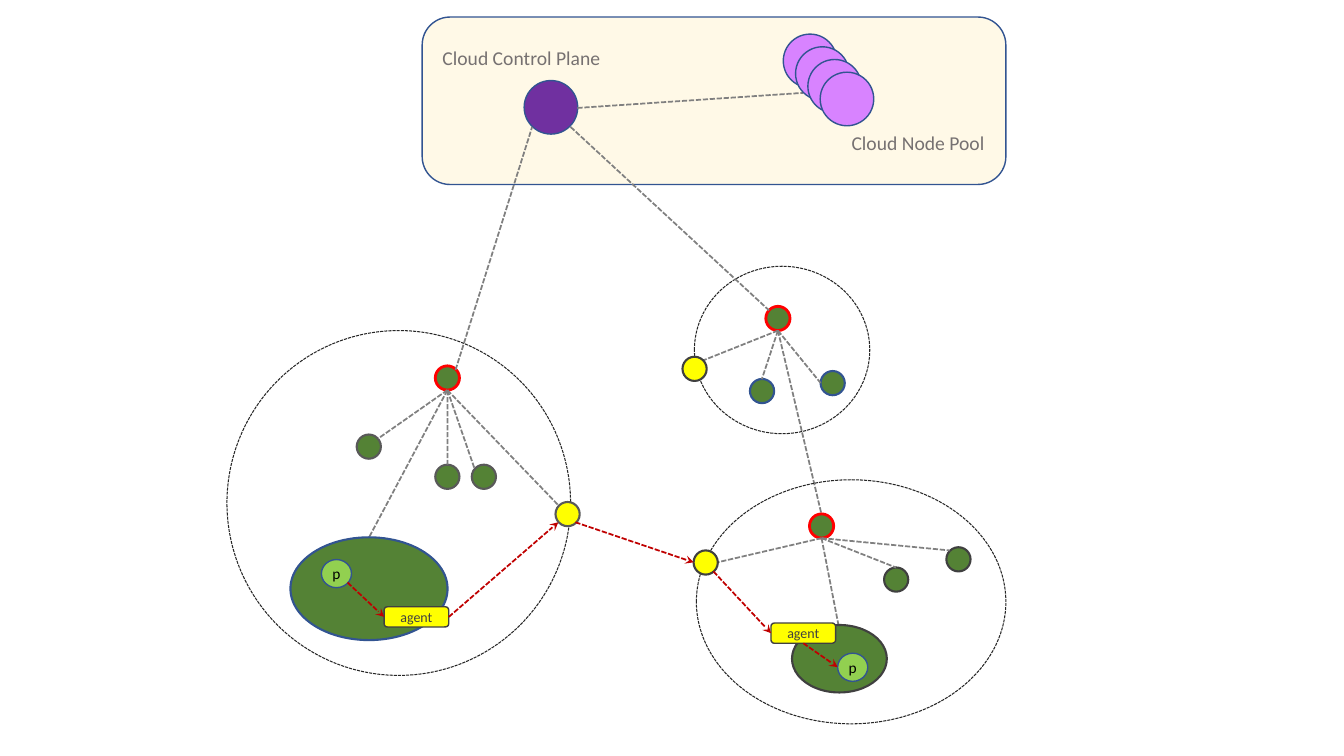
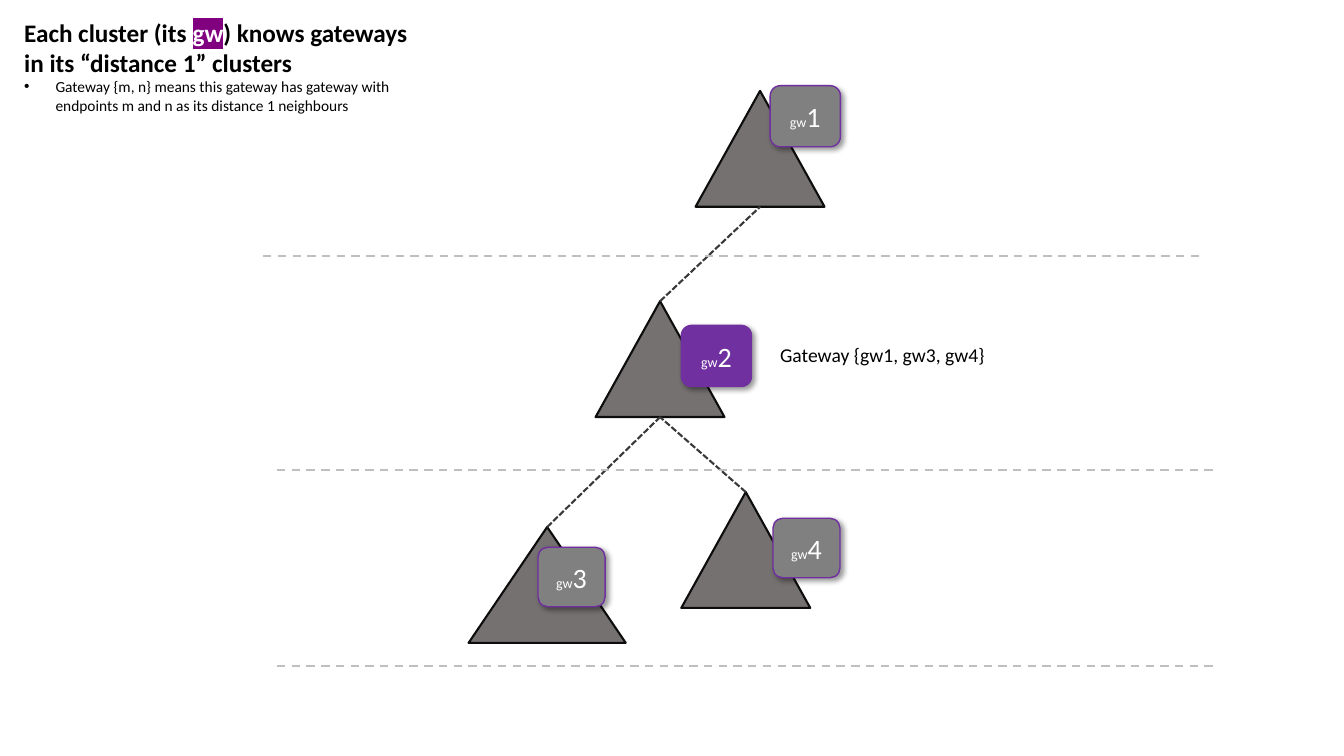
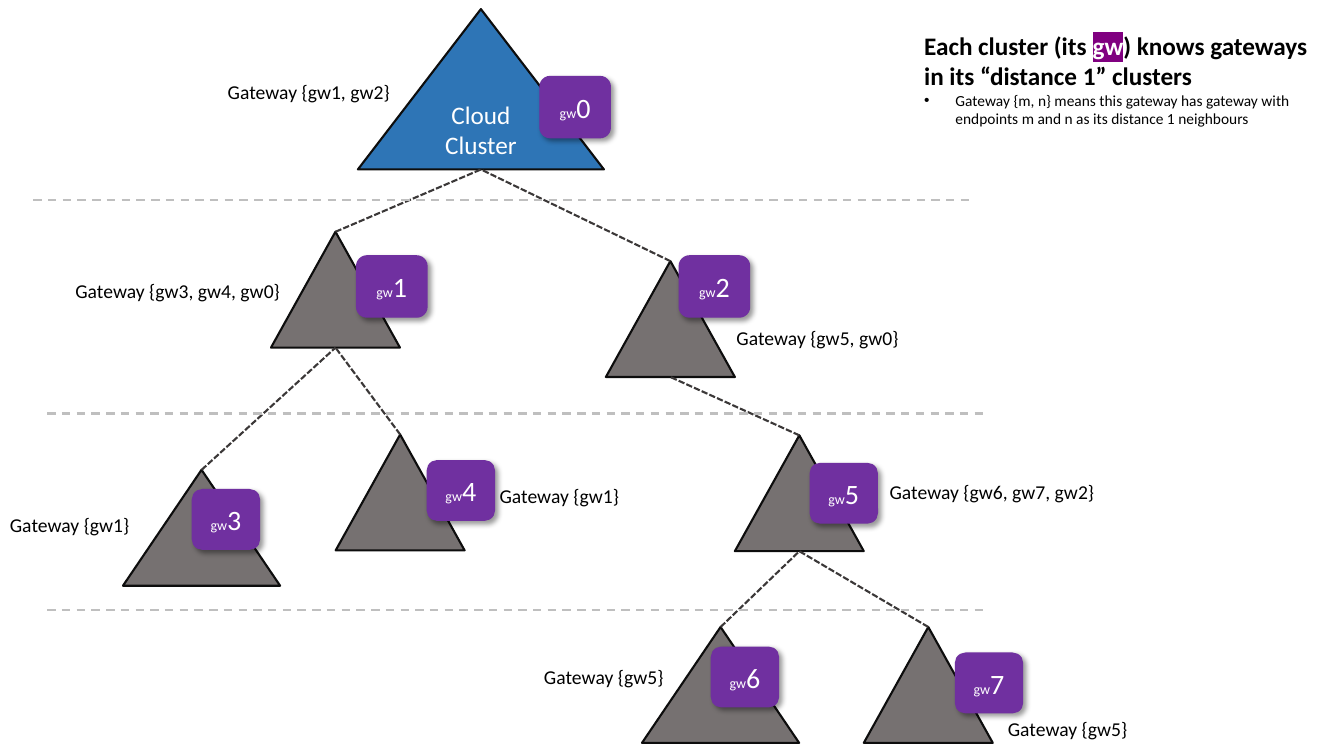
"""Build three slides on cloud clusters and the gateways that link them."""
from lxml.etree import SubElement
from pptx import Presentation
from pptx.dml.color import RGBColor
from pptx.enum.dml import MSO_LINE
from pptx.enum.shapes import MSO_CONNECTOR, MSO_SHAPE
from pptx.enum.text import MSO_ANCHOR, PP_ALIGN
from pptx.oxml.ns import qn
from pptx.util import Cm, Pt

FONT = "Calibri"
COLORS = {
    "black": "000000", "white": "FFFFFF", "ink": "0D0D0D", "boundary": "262626",
    "branch": "3B3838", "dark": "404040", "mid": "595959", "label": "767171",
    "gray": "808080", "divider": "BFBFBF", "navy": "325491", "blue": "2E75B6",
    "cream": "FFF2CC", "purple": "7030A0", "lilac": "D883FF", "highlight": "800080",
    "green": "548235", "lime": "92D050", "yellow": "FFFF00", "red": "FF0000",
    "route": "C00000",
}
NODE = 0.61
CLOUD_NODE = 1.35
AGENT = (1.63, 0.51)
PROCESS = (0.76, 0.71)
NARROW, WIDE, TRIANGLE_HEIGHT = 3.25, 3.96, 2.92
LARGE_BADGE, SMALL_BADGE = (1.77, 1.54), (1.69, 1.5)
DIVIDER_WIDTH = 23.6
DIVIDER_OFFSETS = [(0, 0), (0.35, 5.39), (0.35, 10.34)]

SITES = [
    {
        "boundary": (5.72, 8.33, 8.66, 8.69), "head": (10.97, 9.22),
        "edge": "mid", "gateway_edge": "mid", "gateway": (14, 12.65),
        "members": [(10.97, 11.71), (11.89, 11.71), (8.99, 10.95)],
        "ends": [(9.3, 13.54), (11.28, 11.71), (11.96, 11.81), (9.53, 11.05),
                 (14.07, 12.73)],
    },
    {
        "boundary": (17.5, 6.71, 4.42, 4.22), "head": (19.3, 7.72),
        "edge": "navy", "gateway_edge": "dark", "gateway": (17.2, 8.99),
        "members": [(18.9, 9.55), (20.68, 9.35)],
        "ends": [(20.68, 9.65), (19.2, 9.55), (20.7, 12.95), (17.7, 9.09)],
    },
    {
        "boundary": (17.55, 12.09, 7.8, 6.15), "head": (20.4, 12.95),
        "edge": "dark", "gateway_edge": "dark", "gateway": (17.48, 13.87),
        "members": [(22.28, 14.3), (23.85, 13.79)],
        "ends": [(22.58, 14.3), (23.93, 13.87), (21.13, 15.75), (18.08, 14.17)],
    },
]

# number: (parent, triangle box, badge position)
SMALL_TREE = {
    1: (None, (17.53, 2.29, NARROW, TRIANGLE_HEIGHT), (19.41, 2.16)),
    2: (1, (15.01, 7.59, NARROW, TRIANGLE_HEIGHT), (17.17, 8.2)),
    3: (2, (11.81, 13.28, WIDE, TRIANGLE_HEIGHT), (13.56, 13.79)),
    4: (2, (17.17, 12.4, NARROW, TRIANGLE_HEIGHT), (19.48, 13.06)),
}
FULL_TREE = {
    0: (None, (9.02, 0.23, 6.2, 4.04), (13.61, 1.93)),
    1: (0, (6.83, 5.84, NARROW, TRIANGLE_HEIGHT), (8.99, 6.45)),
    2: (0, (15.27, 6.58, NARROW, TRIANGLE_HEIGHT), (17.12, 6.45)),
    3: (1, (3.1, 11.84, WIDE, TRIANGLE_HEIGHT), (4.85, 12.34)),
    4: (1, (8.46, 10.95, NARROW, TRIANGLE_HEIGHT), (10.77, 11.61)),
    5: (2, (18.52, 10.97, NARROW, TRIANGLE_HEIGHT), (20.42, 11.68)),
    6: (5, (16.18, 15.8, WIDE, TRIANGLE_HEIGHT), (17.93, 16.31)),
    7: (5, (21.77, 15.8, NARROW, TRIANGLE_HEIGHT), (24.08, 16.46)),
}
FULL_TREE_LABELS = [
    ("Gateway {gw1, gw2}", 5.49, 1.88, 4.7),
    ("Gateway {gw3, gw4, gw0}", 1.65, 6.91, 5.72),
    ("Gateway {gw5, gw0}", 18.31, 8.08, 4.7),
    ("Gateway {gw6, gw7, gw2}", 22.17, 11.96, 6.6),
    ("Gateway {gw1}", 12.34, 12.07, 3.81),
    ("Gateway {gw1}", 0, 12.8, 3.96),
    ("Gateway {gw5}", 13.46, 16.64, 3.96),
    ("Gateway {gw5}", 25.15, 17.93, 3.63),
]


def rgb(name):
    return RGBColor.from_string(COLORS[name])


def add_run(p, text, size, color, bold=False):
    r = p.add_run()
    r.text = text
    r.font.name = FONT
    r.font.size = Pt(size)
    r.font.bold = bold
    r.font.color.rgb = rgb(color)
    return r


def add_box(slide, kind, box, fill, line, width=1.0, runs=()):
    sp = slide.shapes.add_shape(kind, *map(Cm, box))
    sp.shadow.inherit = False
    if fill:
        sp.fill.solid()
        sp.fill.fore_color.rgb = rgb(fill)
    else:
        sp.fill.background()
    sp.line.color.rgb = rgb(line)
    sp.line.width = Pt(width)
    tf = sp.text_frame
    tf.margin_left = tf.margin_right = tf.margin_top = tf.margin_bottom = 0
    tf.vertical_anchor = MSO_ANCHOR.MIDDLE
    p = tf.paragraphs[0]
    p.alignment = PP_ALIGN.CENTER
    for text, size, color in runs:
        add_run(p, text, size, color)
    return sp


def add_circle(slide, position, diameter, fill, line, width=1.0):
    return add_box(slide, MSO_SHAPE.OVAL, (*position, diameter, diameter), fill, line, width)


def add_line(slide, start, end, color, width=1.25, dash=MSO_LINE.SQUARE_DOT):
    points = [Cm(v) for v in (*start, *end)]
    cx = slide.shapes.add_connector(MSO_CONNECTOR.STRAIGHT, *points)
    cx.line.color.rgb = rgb(color)
    cx.line.width = Pt(width)
    cx.line.dash_style = dash
    SubElement(cx._element.spPr, qn("a:effectLst"))
    return cx


def add_route(slide, start, end):
    cx = add_line(slide, start, end, "route")
    ln = cx._element.spPr.find(qn("a:ln"))
    SubElement(ln, qn("a:tailEnd"), type="stealth")
    return cx


def add_textbox(slide, left, top, width, height=0.86):
    tf = slide.shapes.add_textbox(Cm(left), Cm(top), Cm(width), Cm(height)).text_frame
    tf.word_wrap = True
    return tf


def add_label(slide, text, left, top, width, color="black"):
    tf = add_textbox(slide, left, top, width)
    add_run(tf.paragraphs[0], text, 14, color)


def add_intro(slide, left, top):
    tf = add_textbox(slide, left, top, 10.34, 2.82)
    p = tf.paragraphs[0]
    add_run(p, "Each cluster (its ", 18, "black", True)
    r = add_run(p, "gw", 18, "white", True)
    add_run(p, ") knows gateways in its “distance 1” clusters", 18, "black", True)
    fill = r.font._element.find(qn("a:solidFill"))
    mark = SubElement(r.font._element, qn("a:highlight"))
    SubElement(mark, qn("a:srgbClr"), val=COLORS["highlight"])
    fill.addnext(mark)
    p = tf.add_paragraph()
    add_run(p, "Gateway {m, n} means this gateway has gateway with endpoints m and n "
               "as its distance 1 neighbours", 11, "black")
    pPr = p._p.get_or_add_pPr()
    pPr.set("marL", str(int(Cm(0.79))))
    pPr.set("indent", str(int(Cm(-0.79))))
    SubElement(pPr, qn("a:buFont"), typeface="Arial")
    SubElement(pPr, qn("a:buChar"), char="•")


def add_badge(slide, number, position, fill):
    size = LARGE_BADGE if number <= 2 else SMALL_BADGE
    runs = [("gw", 10, "white"), (str(number), 20, "white")]
    sp = add_box(slide, MSO_SHAPE.ROUNDED_RECTANGLE, (*position, *size), fill, "purple", 1, runs)
    effects = sp._element.spPr.find(qn("a:effectLst"))
    shadow = SubElement(effects, qn("a:outerShdw"), blurRad=str(int(Pt(4))),
                        dist=str(int(Pt(3))), dir="2700000", algn="tl", rotWithShape="0")
    color = SubElement(shadow, qn("a:srgbClr"), val=COLORS["black"])
    SubElement(color, qn("a:alpha"), val="40000")


def add_dividers(slide, left, top):
    for dx, dy in DIVIDER_OFFSETS:
        x, y = left + dx, top + dy
        add_line(slide, (x, y), (x + DIVIDER_WIDTH, y), "divider", 1.5, MSO_LINE.DASH)


def add_tree(slide, clusters, active):
    add_triangles = {}
    for number, (_, box, _) in clusters.items():
        fill, runs = ("label", ()) if number else ("blue", [("Cloud Cluster", 18, "white")])
        add_triangles[number] = add_box(slide, MSO_SHAPE.ISOSCELES_TRIANGLE, box, fill,
                                        "ink", 1.5, runs)
    for number, (parent, (x, y, w, _), _) in clusters.items():
        if parent is not None:
            px, py, pw, ph = clusters[parent][1]
            cx = add_line(slide, (x + w / 2, y), (px + pw / 2, py + ph), "branch", 1.5)
            cx.begin_connect(add_triangles[number], 0)
    for number, (_, _, position) in clusters.items():
        add_badge(slide, number, position, "purple" if number in active else "gray")


def add_cloud(slide):
    sp = add_box(slide, MSO_SHAPE.ROUNDED_RECTANGLE, (10.64, 0.43, 14.71, 4.22), "cream", "navy")
    color = sp._element.spPr.find(qn("a:solidFill"))[0]
    SubElement(color, qn("a:alpha"), val="46000")
    add_circle(slide, (13.21, 2.03), CLOUD_NODE, "purple", "navy")
    add_line(slide, (14.55, 2.72), (20.24, 2.34), "gray")
    for i in range(4):
        add_circle(slide, (19.74 + 0.31 * i, 0.86 + 0.32 * i), CLOUD_NODE, "lilac", "navy")
    add_label(slide, "Cloud Control Plane", 10.9, 1.04, 4.9, "label")
    add_label(slide, "Cloud Node Pool", 21.21, 3.18, 4.2, "label")


def add_site(slide, site):
    x, y = site["head"]
    add_circle(slide, site["head"], NODE, "green", "red", 2)
    for position in site["members"]:
        add_circle(slide, position, NODE, "green", site["edge"], 1.5)
    for end in site["ends"]:
        add_line(slide, (x + NODE / 2, y + NODE), end, "gray")
    sp = add_box(slide, MSO_SHAPE.OVAL, site["boundary"], None, "boundary", 0.75)
    sp.line.dash_style = MSO_LINE.SQUARE_DOT
    add_circle(slide, site["gateway"], NODE, "yellow", site["gateway_edge"], 1.5)


def add_worker(slide, box, edge, process, agent):
    add_box(slide, MSO_SHAPE.OVAL, box, "green", edge, 1.5)
    add_box(slide, MSO_SHAPE.OVAL, (*process, *PROCESS), "lime", "navy", 1, [("p", 11, "black")])
    return add_box(slide, MSO_SHAPE.ROUNDED_RECTANGLE, (*agent, *AGENT), "yellow", "dark", 1,
                   [("agent", 10, "dark")])


def add_routes(slide, sender, receiver):
    add_route(slide, (8.76, 14.68), (9.68, 15.55)).end_connect(sender, 1)
    add_route(slide, (11.31, 15.55), (14.07, 13.16)).begin_connect(sender, 3)
    add_route(slide, (14.5, 13.16), (17.48, 14.17))
    add_route(slide, (17.98, 14.4), (19.43, 15.95)).end_connect(receiver, 1)
    add_route(slide, (20.24, 16.21), (21.11, 16.81)).begin_connect(receiver, 2)


def main():
    prs = Presentation()
    prs.slide_width, prs.slide_height = Cm(33.87), Cm(19.05)
    overview, neighbours, full = [prs.slides.add_slide(prs.slide_layouts[6]) for _ in range(3)]

    add_cloud(overview)
    for site in SITES:
        add_site(overview, site)
    add_line(overview, (14.38, 3.2), (19.38, 7.82), "gray")
    add_line(overview, (11.48, 9.32), (13.41, 3.2), "gray")
    sender = add_worker(overview, (7.32, 13.54, 3.96, 2.59), "navy", (8.1, 14.1), (9.68, 15.29))
    receiver = add_worker(overview, (19.96, 15.75, 2.39, 1.7), "dark", (21.11, 16.46),
                          (19.43, 15.7))
    add_routes(overview, sender, receiver)

    add_tree(neighbours, SMALL_TREE, {2})
    add_dividers(neighbours, 6.63, 6.45)
    add_label(neighbours, "Gateway {gw1, gw3, gw4}", 19.41, 8.51, 5.72)
    add_intro(neighbours, 0.36, 0.3)

    add_tree(full, FULL_TREE, set(FULL_TREE))
    add_dividers(full, 0.84, 5.03)
    for label in FULL_TREE_LABELS:
        add_label(full, *label)
    add_intro(full, 23.04, 0.64)

    prs.save("out.pptx")


if __name__ == "__main__":
    main()
